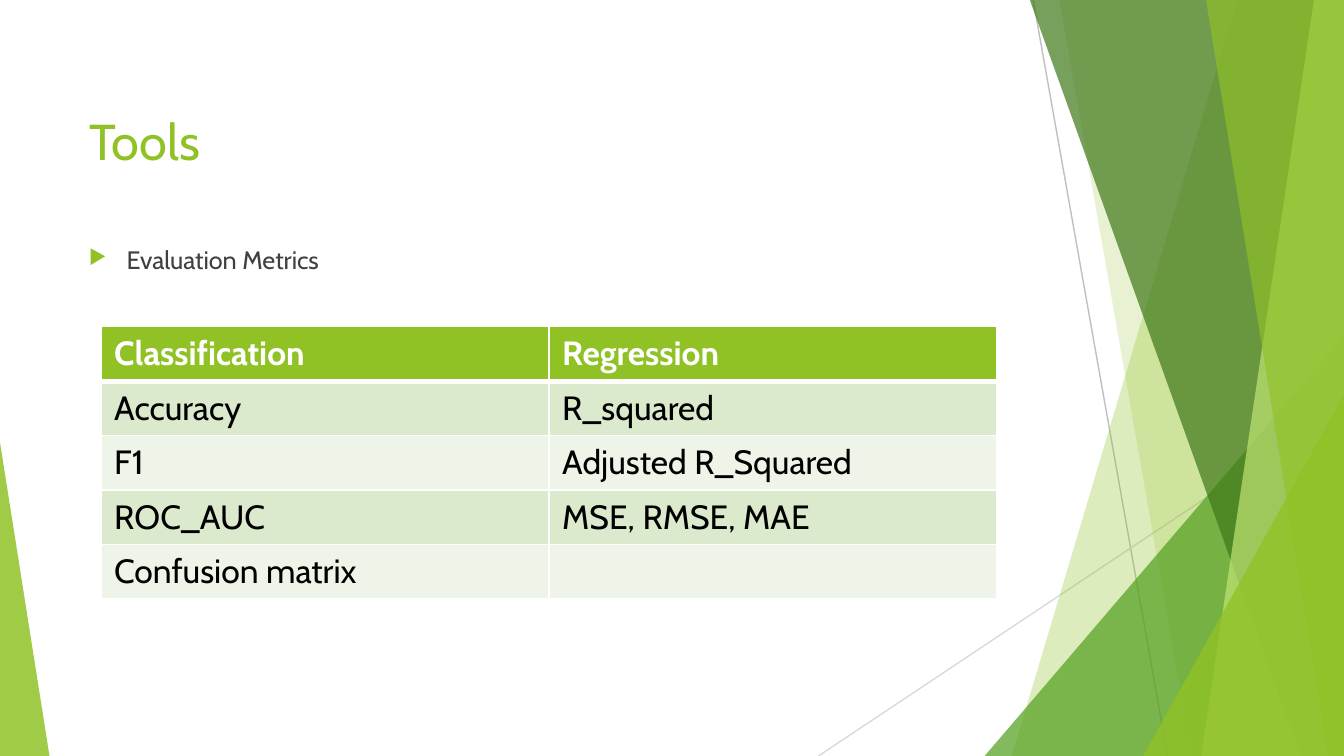
from dataclasses import dataclass

import pptx
import pptx.dml.color
import pptx.enum.shapes
import pptx.enum.text
import pptx.oxml
import pptx.oxml.ns
import pptx.util

Pt = pptx.util.Pt
qn = pptx.oxml.ns.qn
WIDTH, HEIGHT, TOP = 720, 405, -0.6


@dataclass(frozen=True)
class Theme:
    font: str = "Cabin"
    green: str = "90C226"
    leaf: str = "54A021"
    forest: str = "3F7819"
    lime: str = "C0E474"
    white: str = "FFFFFF"
    black: str = "000000"
    body_text: str = "404040"
    dark_rule: str = "BFBFBF"
    light_rule: str = "D9D9D9"
    bands: tuple = ("DBE9CD", "EEF4E8")
    title_size: float = 27
    body_size: float = 13.5
    table_size: float = 18


def rgb(color):
    return pptx.dml.color.RGBColor.from_string(color)


def write_text(frame, text, *, font, size, color, bold=False):
    paragraph = frame.paragraphs[0]
    paragraph.alignment = pptx.enum.text.PP_ALIGN.LEFT
    run = paragraph.add_run()
    run.text = text
    run.font.name = font
    run.font.size = Pt(size)
    run.font.bold = bold
    run.font.color.rgb = rgb(color)
    return paragraph


class SlideBuilder:
    def __init__(self, slide, theme):
        self.slide = slide
        self.theme = theme

    def line(self, start, end, color):
        connector = self.slide.shapes.add_connector(
            pptx.enum.shapes.MSO_CONNECTOR.STRAIGHT, *map(Pt, start + end))
        connector.line.color.rgb = rgb(color)
        connector.line.width = Pt(0.75)
        properties = connector._element.spPr
        properties.append(properties.makeelement(qn("a:effectLst"), {}))

    def paint(self, shape, color, opacity):
        shape.shadow.inherit = False
        shape.line.fill.background()
        shape.fill.solid()
        shape.fill.fore_color.rgb = rgb(color)
        color_element = shape._element.spPr.find(qn("a:solidFill"))[0]
        color_element.append(color_element.makeelement(
            qn("a:alpha"), {"val": str(opacity * 1000)}))

    def facet(self, top_left, bottom_left, color, opacity):
        corners = [(WIDTH, TOP), (WIDTH, HEIGHT), (bottom_left, HEIGHT)]
        builder = self.slide.shapes.build_freeform(Pt(top_left), Pt(TOP))
        builder.add_line_segments([(Pt(x), Pt(y)) for x, y in corners], close=True)
        self.paint(builder.convert_to_shape(), color, opacity)

    def triangle(self, left, top, width, apex, color, opacity):
        shape = self.slide.shapes.add_shape(
            pptx.enum.shapes.MSO_SHAPE.ISOSCELES_TRIANGLE,
            Pt(left), Pt(top), Pt(width), Pt(HEIGHT - top))
        shape.adjustments[0] = apex
        self.paint(shape, color, opacity)

    def title(self, text, left, top, width, height):
        title = self.slide.shapes.title
        title.left, title.top, title.width, title.height = map(
            Pt, (left, top, width, height))
        frame = title.text_frame
        frame.vertical_anchor = pptx.enum.text.MSO_ANCHOR.MIDDLE
        frame.margin_left = frame.margin_right = Pt(7.2)
        frame.margin_top = frame.margin_bottom = Pt(7.2)
        write_text(frame, text, font=self.theme.font,
                   size=self.theme.title_size, color=self.theme.green)

    def bullet(self, text, left, top, width, height):
        box = self.slide.shapes.add_textbox(*map(Pt, (left, top, width, height)))
        box.text_frame.word_wrap = True
        paragraph = write_text(box.text_frame, text, font=self.theme.font,
                               size=self.theme.body_size, color=self.theme.body_text)
        paragraph.space_before = Pt(7.5)
        properties = paragraph._p.get_or_add_pPr()
        properties.set("marL", str(Pt(20.25)))
        properties.set("indent", str(-Pt(20.25)))
        color = properties.makeelement(qn("a:buClr"), {})
        color.append(color.makeelement(qn("a:srgbClr"), {"val": self.theme.green}))
        properties.append(color)
        properties.append(properties.makeelement(qn("a:buSzPct"), {"val": "80000"}))
        properties.append(properties.makeelement(qn("a:buChar"), {"char": "▶"}))

    def cell_border(self, cell, side, width):
        properties = cell._tc.get_or_add_tcPr()
        properties.append(pptx.oxml.parse_xml(
            f'<a:{side} {pptx.oxml.ns.nsdecls("a")} w="{Pt(width)}"><a:solidFill>'
            f'<a:srgbClr val="{self.theme.white}"/></a:solidFill></a:{side}>'))

    def table(self, rows, left, top, width, row_height):
        table = self.slide.shapes.add_table(
            len(rows), len(rows[0]),
            *map(Pt, (left, top, width, row_height * len(rows)))).table
        table.first_row = table.horz_banding = False
        for row_index, texts in enumerate(rows):
            table.rows[row_index].height = Pt(row_height)
            header = row_index == 0
            fill = self.theme.green if header else self.theme.bands[(row_index - 1) % 2]
            borders = {"lnL": 1, "lnR": 1, "lnT": 3 if row_index == 1 else 1,
                       "lnB": 3 if header else 1}
            for column_index, text in enumerate(texts):
                cell = table.cell(row_index, column_index)
                for side, border_width in borders.items():
                    self.cell_border(cell, side, border_width)
                cell.fill.solid()
                cell.fill.fore_color.rgb = rgb(fill)
                if text:
                    write_text(cell.text_frame, text, font=self.theme.font,
                               size=self.theme.table_size, bold=header,
                               color=self.theme.white if header else self.theme.black)


def main():
    theme = Theme()
    presentation = pptx.Presentation()
    presentation.slide_width = Pt(WIDTH)
    presentation.slide_height = Pt(HEIGHT)
    slide = presentation.slides.add_slide(presentation.slide_layouts[5])
    slide.background.fill.solid()
    slide.background.fill.fore_color.rgb = rgb(theme.white)

    builder = SlideBuilder(slide, theme)
    builder.line((553.5, 0), (625.5, HEIGHT), theme.dark_rule)
    builder.line((WIDTH, 217.5), (438.5, HEIGHT), theme.light_rule)
    builder.facet(663, 542, theme.green, 30)
    builder.facet(567.5, 638.5, theme.green, 20)
    builder.triangle(527.5, 180, 192.5, 1, theme.leaf, 72)
    builder.facet(551.5, 697, theme.forest, 70)
    builder.facet(704, 643.5, theme.lime, 70)
    builder.facet(646, 711.5, theme.green, 65)
    builder.triangle(612.5, 211.5, 107.5, 1, theme.green, 80)
    builder.triangle(0, 237, 26.5, 0, theme.green, 85)

    builder.title("Tools", 40.5, 36, 507.5, 78)
    builder.table([
        ("Classification", "Regression"),
        ("Accuracy", "R_squared"),
        ("F1", "Adjusted R_Squared"),
        ("ROC_AUC", "MSE, RMSE, MAE"),
        ("Confusion matrix", ""),
    ], 54, 175, 480, 29.2)
    builder.bullet("Evaluation Metrics", 40.5, 127.5, 507.5, 88.5)
    presentation.save("out.pptx")


if __name__ == "__main__":
    main()
